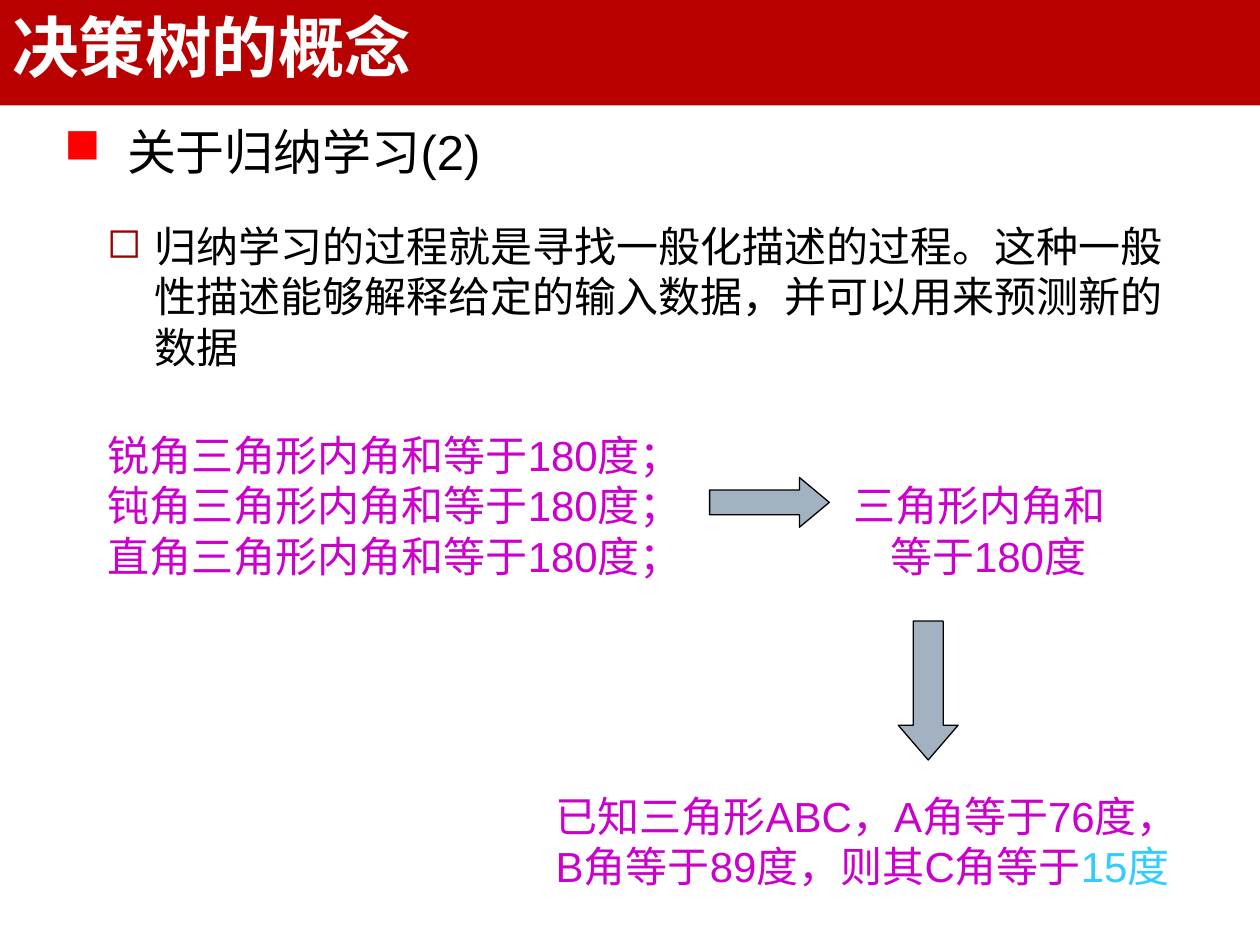
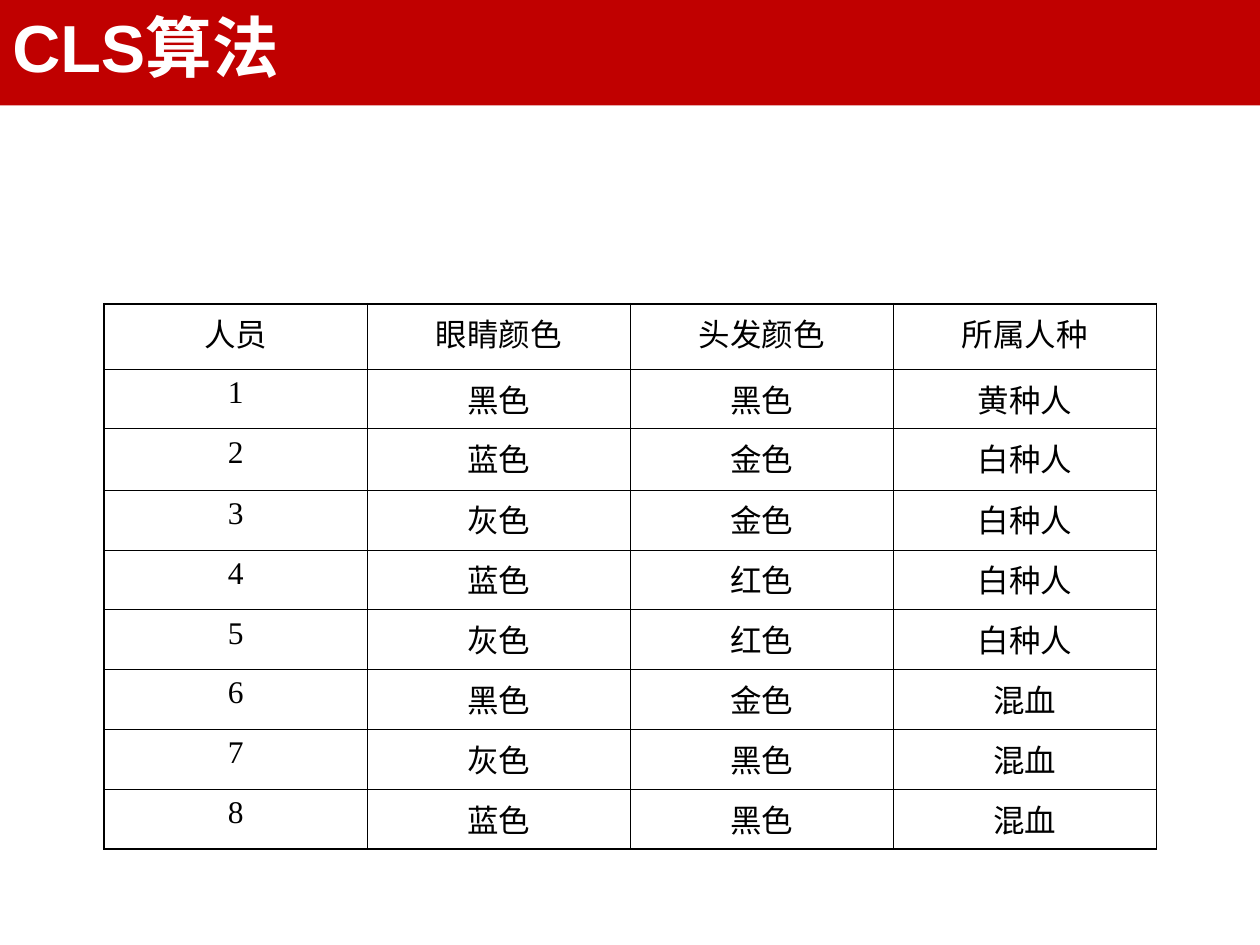
from lxml import etree
from pptx import Presentation
from pptx.dml.color import RGBColor
from pptx.enum.shapes import MSO_SHAPE
from pptx.enum.text import MSO_ANCHOR, PP_ALIGN
from pptx.oxml.ns import qn
from pptx.util import Pt

RECTANGLE = MSO_SHAPE.RECTANGLE
RIGHT_ARROW = MSO_SHAPE.RIGHT_ARROW
DOWN_ARROW = MSO_SHAPE.DOWN_ARROW
TOP = MSO_ANCHOR.TOP
LEFT = PP_ALIGN.LEFT
CENTER = PP_ALIGN.CENTER

SLIDE_WIDTH, SLIDE_HEIGHT = 720, 540
BAND_BOX = (0, 0, SLIDE_WIDTH, 60.3)
BLACK, WHITE = "000000", "FFFFFF"
DARK_RED, RED = "B90000", "C00000"
PURPLE, SKY, STEEL = "CC00CC", "33CCFF", "A3B2C1"
SANS, SERIF = "Arial", "Times New Roman"
THIN, THICK = 0.45, 1.08


def rgb(hex_string):
    """Turn a hex string into a colour."""
    return RGBColor.from_string(hex_string)


def style(font, size, color, name=SANS, bold=False):
    """Set the look of a paragraph font."""
    font.size, font.name, font.bold = Pt(size), name, bold
    font.color.rgb = rgb(color)


def add_block(slide, shape_kind, box, fill, line=None):
    """Add a flat preset shape, outlined only when a line colour is given."""
    shape = slide.shapes.add_shape(shape_kind, *map(Pt, box))
    shape.shadow.inherit = False
    shape.fill.solid()
    shape.fill.fore_color.rgb = rgb(fill)
    if line:
        shape.line.color.rgb = rgb(line)
        shape.line.width = Pt(0.74)
    else:
        shape.line.fill.background()
    return shape


def add_title_band(slide, box, title, fill):
    """Add the coloured band with the slide title."""
    frame = add_block(slide, RECTANGLE, box, fill).text_frame
    frame.vertical_anchor = TOP
    paragraph = frame.paragraphs[0]
    paragraph.text = title
    paragraph.alignment = LEFT
    style(paragraph.font, 38, WHITE, bold=True)


def add_text(slide, box, lines, size, color):
    """Add a wrapping text box and return its paragraphs."""
    frame = slide.shapes.add_textbox(*map(Pt, box)).text_frame
    frame.word_wrap = True
    frame.text = "\n".join(lines)
    for paragraph in frame.paragraphs:
        style(paragraph.font, size, color)
    return frame.paragraphs


def set_indent(paragraph, margin, first_line):
    """Set the left margin and the first-line indent."""
    properties = paragraph._p.get_or_add_pPr()
    properties.set("marL", str(Pt(margin)))
    properties.set("indent", str(Pt(first_line)))
    return properties


def add_bullet_text(slide, box, text, size, indent, bullet, bullet_color):
    """Add one paragraph with a coloured hanging bullet."""
    paragraph = add_text(slide, box, [text], size, BLACK)[0]
    properties = set_indent(paragraph, indent, -indent)
    color = etree.Element(qn("a:buClr"))
    etree.SubElement(color, qn("a:srgbClr"), val=bullet_color)
    character = etree.Element(qn("a:buChar"), char=bullet)
    properties.insert(0, color)
    properties.insert(1, character)


def add_reasoning(slide, box):
    """Add the examples, the general rule and the prediction, joined by arrows."""
    left, top, width, height = box
    examples = [f"{kind}角三角形内角和等于180度；" for kind in "锐钝直"]
    add_text(slide, (left, top, 350, 94), examples, 24, PURPLE)
    add_block(slide, RIGHT_ARROW, (left + 351, top + 31, 68.4, 28.4),
              STEEL, BLACK).adjustments[1] = 0.6

    rule = add_text(slide, (left + 426, top + 28.8, 170, 65),
                    ["三角形内角和", "等于180度"], 24, PURPLE)
    set_indent(rule[1], 21, 0)
    add_block(slide, DOWN_ARROW, (left + 458.8, top + 113, 34.2, 79.4),
              STEEL, BLACK).adjustments[1] = 0.58

    prediction = add_text(
        slide, (left + 256, top + height - 65, width - 256, 65),
        ["已知三角形ABC，A角等于76度，", "B角等于89度，则其C角等于"], 24, PURPLE)
    answer = prediction[1].add_run()
    answer.text = "15度"
    answer.font.color.rgb = rgb(SKY)


def set_borders(cell, widths):
    """Draw black borders; widths maps L, R, T and B to points."""
    properties = cell._tc.get_or_add_tcPr()
    for side in "LRTB":
        line = etree.SubElement(properties, qn(f"a:ln{side}"), w=str(Pt(widths[side])))
        fill = etree.SubElement(line, qn("a:solidFill"))
        etree.SubElement(fill, qn("a:srgbClr"), val=BLACK)


def add_grid(slide, box, rows, row_heights):
    """Add a plain table with a heavier outer border."""
    last_row, last_column = len(rows) - 1, len(rows[0]) - 1
    table = slide.shapes.add_table(len(rows), len(rows[0]), *map(Pt, box)).table
    table.first_row = table.horz_banding = False
    for column in table.columns:
        column.width = Pt(box[2] / len(rows[0]))
    for r, values in enumerate(rows):
        table.rows[r].height = Pt(row_heights[r])
        for c, value in enumerate(values):
            cell = table.cell(r, c)
            outer = {"L": c == 0, "R": c == last_column, "T": r == 0, "B": r == last_row}
            set_borders(cell, {side: THICK if edge else THIN for side, edge in outer.items()})
            cell.fill.background()
            paragraph = cell.text_frame.paragraphs[0]
            paragraph.text = value
            paragraph.alignment = CENTER
            paragraph.space_before = Pt(4.5)
            style(paragraph.font, 18, BLACK, SERIF)


def build_concept_slide(slide):
    """Build the slide on inductive learning."""
    add_reasoning(slide, (54.5, 241.9, 665.5, 271))
    add_title_band(slide, BAND_BOX, "决策树的概念", DARK_RED)
    add_bullet_text(slide, (29.5, 66.2, 300, 75), "关于归纳学习(2)", 28, 36, "■", "FF0000")
    add_bullet_text(
        slide, (54, 122.4, 638, 93.6),
        "归纳学习的过程就是寻找一般化描述的过程。这种一般性描述能够解释给定的输入数据，"
        "并可以用来预测新的数据", 24, 27, "◻", "990000")


def build_algorithm_slide(slide):
    """Build the slide with the sample data of the algorithm."""
    people = [
        ("黑色", "黑色", "黄种人"),
        ("蓝色", "金色", "白种人"),
        ("灰色", "金色", "白种人"),
        ("蓝色", "红色", "白种人"),
        ("灰色", "红色", "白种人"),
        ("黑色", "金色", "混血"),
        ("灰色", "黑色", "混血"),
        ("蓝色", "黑色", "混血"),
    ]
    rows = [("人员", "眼睛颜色", "头发颜色", "所属人种")]
    rows += [(str(number), *person) for number, person in enumerate(people, 1)]
    add_grid(slide, (59.6, 173.6, 601.2, 311.7), rows, [37.5, 34, 35] + [34.2] * 6)
    add_title_band(slide, BAND_BOX, "CLS算法", RED)


presentation = Presentation()
presentation.slide_width, presentation.slide_height = Pt(SLIDE_WIDTH), Pt(SLIDE_HEIGHT)
for build in (build_concept_slide, build_algorithm_slide):
    build(presentation.slides.add_slide(presentation.slide_layouts[6]))
presentation.save("out.pptx")
